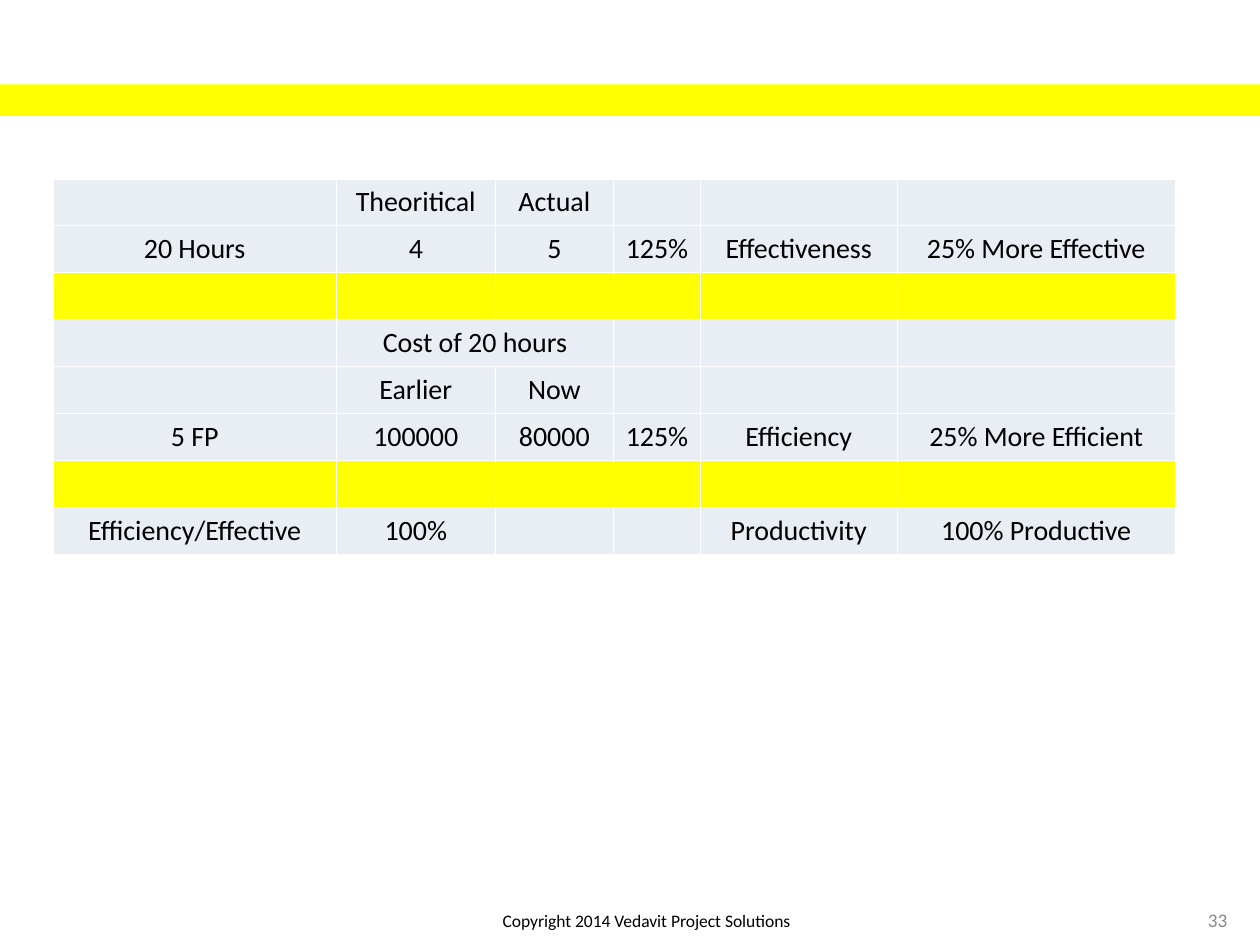
"""Build the effectiveness, efficiency and productivity table slide."""
from lxml import etree
from pptx import Presentation
from pptx import util as u
from pptx.dml.color import RGBColor
from pptx.enum import shapes, text
from pptx.oxml.ns import qn

THEME = {
    "font": "Calibri", "ink": "000000", "muted": "898989",
    "accent": "FFFF00", "cell": "E9EDF4", "border": "FFFFFF",
    "table_size": 16, "footer_size": 10, "number_size": 11, "border_width": 0.45,
}
COLUMNS = [2.25, 1.26, 0.94, 0.69, 1.56, 2.21]
ROW_HEIGHT = 0.28
ROWS = [
    ["", "Theoritical", "Actual", "", "", ""],
    ["20 Hours", "4", "5", "125%", "Effectiveness", "25% More Effective"],
    [""] * 6,
    ["", "Cost of 20 hours", "", "", "", ""],
    ["", "Earlier", "Now", "", "", ""],
    ["5 FP", "100000", "80000", "125%", "Efficiency", "25% More Efficient"],
    [""] * 6,
    ["Efficiency/Effective", "100%", "", "", "Productivity", "100% Productive"],
]
CELL_FORMAT = {
    "vertical_anchor": text.MSO_ANCHOR.BOTTOM,
    "margin_left": u.Inches(0.01), "margin_right": u.Inches(0.01),
    "margin_top": u.Inches(0.05), "margin_bottom": u.Inches(0.05),
}


def write(para, words, size, color):
    para.alignment = text.PP_ALIGN.CENTER
    if words:
        span = para.add_run()
        span.text = words
        for name, value in {"name": THEME["font"], "size": u.Pt(size)}.items():
            setattr(span.font, name, value)
        span.font.color.rgb = RGBColor.from_string(color)
    else:
        etree.SubElement(para._p, qn("a:endParaRPr"), sz=str(size * 100))


def add_border(cell):
    properties = cell._tc.get_or_add_tcPr()
    for side in ("lnL", "lnR", "lnT", "lnB"):
        line = etree.SubElement(properties, qn(f"a:{side}"),
                                w=str(u.Pt(THEME["border_width"])))
        fill = etree.SubElement(line, qn("a:solidFill"))
        etree.SubElement(fill, qn("a:srgbClr"), val=THEME["border"])


deck = Presentation()
deck.slide_width, deck.slide_height = u.Inches(10), u.Inches(7.5)
page = deck.slides.add_slide(deck.slide_layouts[6])

frame = page.shapes.add_table(
    len(ROWS), len(COLUMNS), u.Inches(0.42), u.Inches(1.42),
    u.Inches(sum(COLUMNS)), u.Inches(ROW_HEIGHT * len(ROWS)))
table = frame.table
table.first_row = table.horz_banding = False
for column, width in zip(table.columns, COLUMNS):
    column.width = u.Inches(width)
for row, values in zip(table.rows, ROWS):
    row.height = u.Inches(ROW_HEIGHT)
    row_color = THEME["cell"] if any(values) else THEME["accent"]
    for cell, value in zip(row.cells, values):
        for name, setting in CELL_FORMAT.items():
            setattr(cell, name, setting)
        add_border(cell)
        cell.fill.solid()
        cell.fill.fore_color.rgb = RGBColor.from_string(row_color)
        write(cell.text_frame.paragraphs[0], value, THEME["table_size"], THEME["ink"])
table.cell(3, 1).merge(table.cell(3, 2))

band = page.shapes.add_shape(
    shapes.MSO_SHAPE.RECTANGLE, 0, u.Inches(0.67), deck.slide_width, u.Inches(0.25))
band.shadow.inherit = False
band.fill.solid()
band.fill.fore_color.rgb = RGBColor.from_string(THEME["accent"])
band.line.fill.background()

footers = [
    ("Copyright 2014 Vedavit Project Solutions", (3.67, 7.17, 2.92, 0.25),
     THEME["footer_size"], THEME["ink"], text.MSO_ANCHOR.TOP),
    ("33", (9.33, 7.1, 0.67, 0.4),
     THEME["number_size"], THEME["muted"], text.MSO_ANCHOR.MIDDLE),
]
for words, place, size, color, anchor in footers:
    box = page.shapes.add_textbox(*map(u.Inches, place))
    box.text_frame.word_wrap = True
    box.text_frame.vertical_anchor = anchor
    write(box.text_frame.paragraphs[0], words, size, color)

deck.save("out.pptx")
